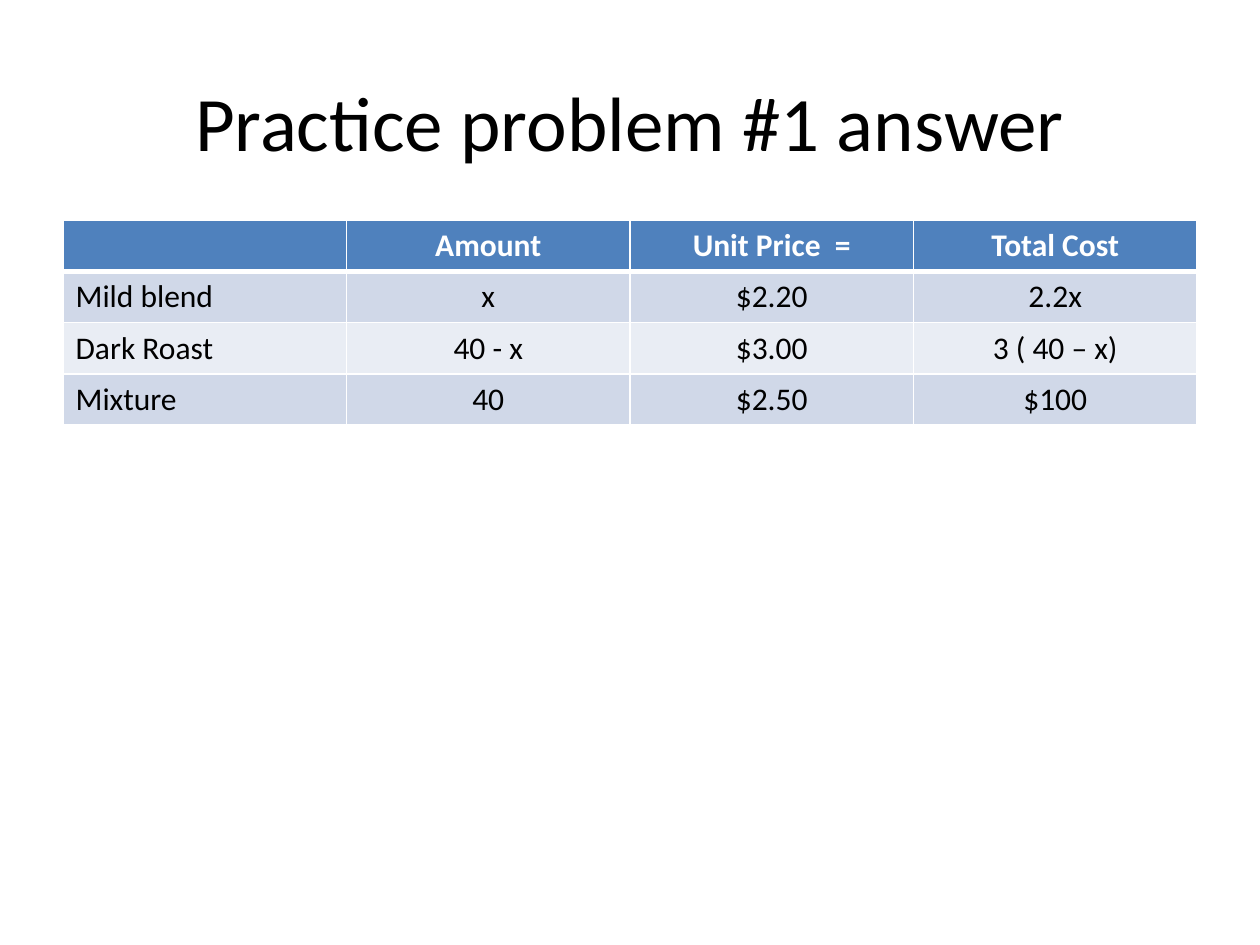
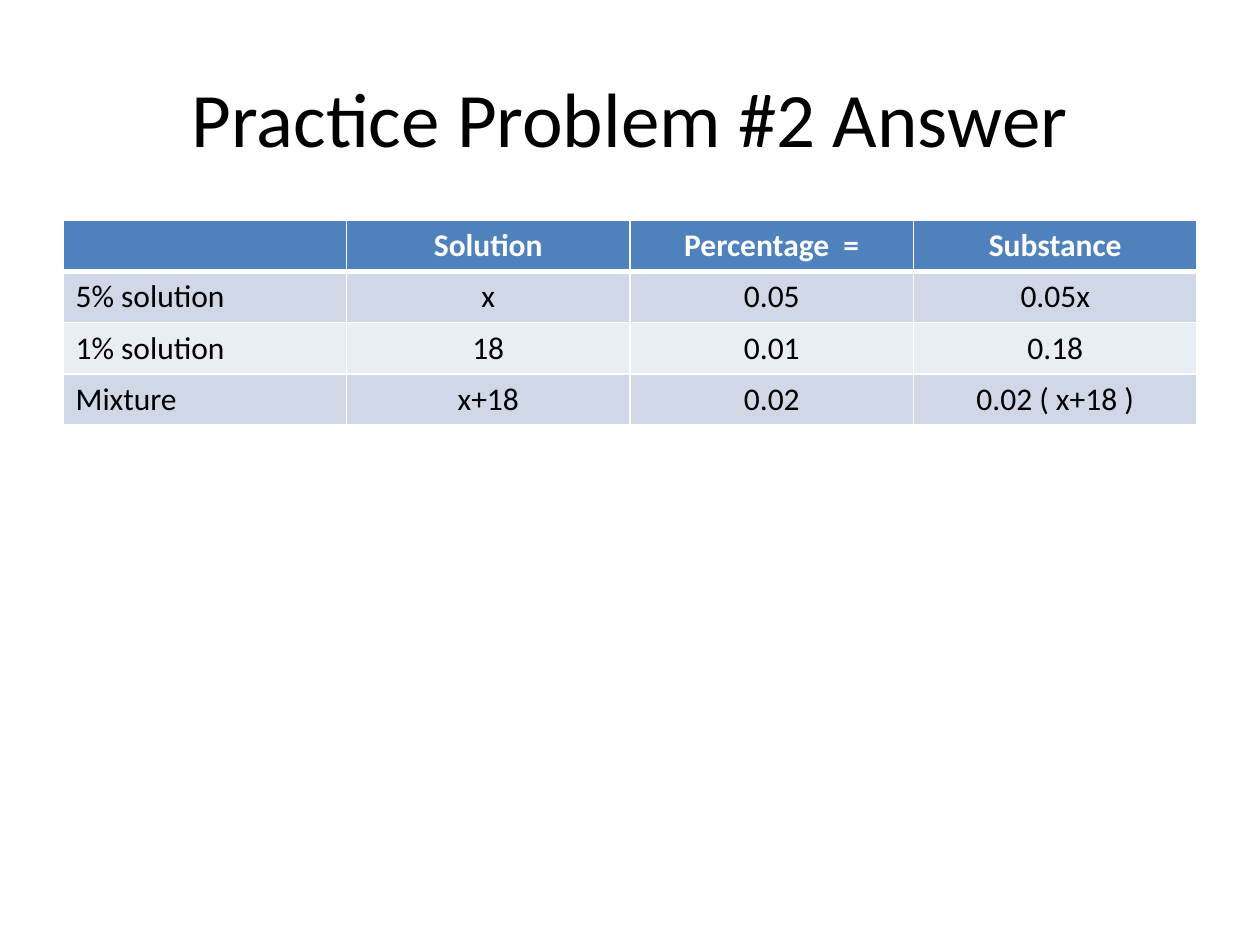
import pptx
import pptx.dml.color
import pptx.enum.text
import pptx.oxml
import pptx.oxml.ns
import pptx.util

Pt = pptx.util.Pt
ALIGN = pptx.enum.text.PP_ALIGN
MIDDLE = pptx.enum.text.MSO_ANCHOR.MIDDLE


def rgb(hex_color):
    return pptx.dml.color.RGBColor.from_string(hex_color)


def write(frame, text, size=18, color="000000", bold=False, align=ALIGN.CENTER):
    paragraph = frame.paragraphs[0]
    paragraph.alignment = align
    if not text:
        paragraph.font.size = Pt(size)
        return
    run = paragraph.add_run()
    run.text = text
    run.font.name = "Calibri"
    run.font.size = Pt(size)
    run.font.bold = bold
    run.font.color.rgb = rgb(color)


def set_borders(cell, color, **widths):
    """Draw cell borders; widths are points keyed by side, in the order L, R, T, B."""
    properties = cell._tc.get_or_add_tcPr()
    for side, width in widths.items():
        properties.append(pptx.oxml.parse_xml(
            f'<a:ln{side} {pptx.oxml.ns.nsdecls("a")} w="{Pt(width)}">'
            f'<a:solidFill><a:srgbClr val="{color}"/></a:solidFill></a:ln{side}>'))


class AnswerDeck:
    """Holds the shared style and the slide being built."""

    white = "FFFFFF"
    header_fill = "4F81BD"
    band_fills = ("D0D8E8", "E9EDF4")
    left, width = 36, 648
    table_top, row_height = 126, 29.2

    def __init__(self):
        self.deck = pptx.Presentation()
        self.deck.slide_width = Pt(720)
        self.deck.slide_height = Pt(540)
        self.slide = None

    def add_slide(self):
        title_only = self.deck.slide_layouts[5]
        self.slide = self.deck.slides.add_slide(title_only)
        self.slide.background.fill.solid()
        self.slide.background.fill.fore_color.rgb = rgb(self.white)

    def add_title(self, text, top):
        title = self.slide.shapes.title
        title.left, title.top = Pt(self.left), Pt(top)
        title.width, title.height = Pt(self.width), Pt(90)
        title.text_frame.vertical_anchor = MIDDLE
        write(title.text_frame, text, size=44)

    def add_table(self, rows):
        columns = len(rows[0])
        table = self.slide.shapes.add_table(
            len(rows), columns, Pt(self.left), Pt(self.table_top),
            Pt(self.width), Pt(self.row_height * len(rows))).table
        for column in table.columns:
            column.width = Pt(self.width / columns)
        for row_index, row in enumerate(rows):
            table.rows[row_index].height = Pt(self.row_height)
            for column_index, text in enumerate(row):
                self.format_cell(table.cell(row_index, column_index), text,
                                 row_index, column_index)

    def format_cell(self, cell, text, row_index, column_index):
        is_header = row_index == 0
        set_borders(cell, self.white, L=1, R=1,
                    T=3 if row_index == 1 else 1, B=3 if is_header else 1)
        cell.fill.solid()
        cell.fill.fore_color.rgb = rgb(
            self.header_fill if is_header else self.band_fills[(row_index - 1) % 2])
        write(cell.text_frame, text, bold=is_header,
              color=self.white if is_header else "000000",
              align=ALIGN.LEFT if column_index == 0 else ALIGN.CENTER)


COFFEE_ROWS = [
    ("", "Amount", "Unit Price  =", "Total Cost"),
    ("Mild blend", "x", "$2.20", "2.2x"),
    ("Dark Roast", "40 - x", "$3.00", "3 ( 40 – x)"),
    ("Mixture", "40", "$2.50", "$100"),
]
SOLUTION_ROWS = [
    ("", "Solution", "Percentage  =", "Substance"),
    ("5% solution", "x", "0.05", "0.05x"),
    ("1% solution", "18", "0.01", "0.18"),
    ("Mixture", "x+18", "0.02", "0.02 ( x+18 )"),
]


def main():
    answers = AnswerDeck()
    for title, title_top, rows in (
            ("Practice problem #1 answer", 24, COFFEE_ROWS),
            ("Practice Problem #2 Answer", 21.6, SOLUTION_ROWS)):
        answers.add_slide()
        answers.add_title(title, title_top)
        answers.add_table(rows)
    answers.deck.save("out.pptx")


if __name__ == "__main__":
    main()
